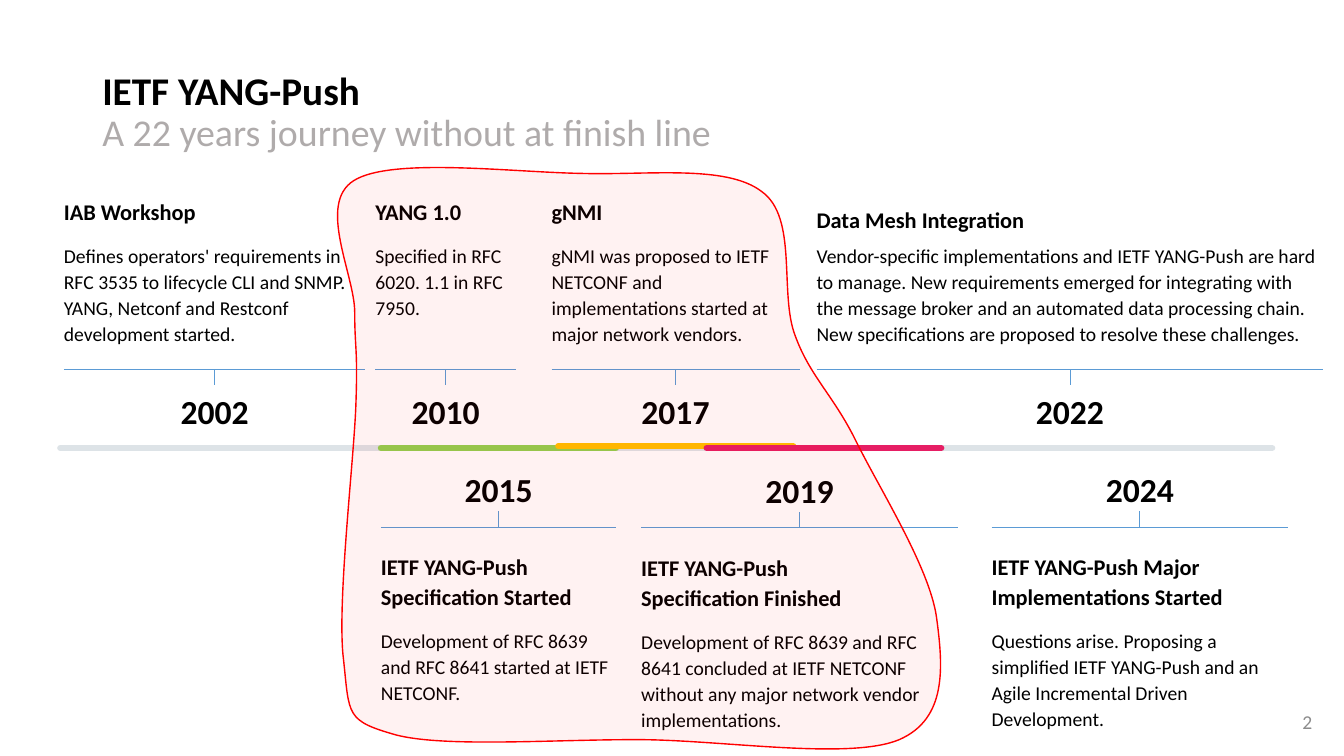
from lxml.etree import SubElement
from pptx import Presentation
from pptx.dml.color import RGBColor
from pptx.enum.shapes import MSO_CONNECTOR
from pptx.enum.text import MSO_ANCHOR, PP_ALIGN
from pptx.oxml.ns import qn
from pptx.util import Cm, Pt

COLOURS = {
    "text": "000000", "subtitle": "AFABAB", "page": "8C8C8C", "rule": "5B9BD5",
    "grey": "DDE3E7", "green": "92D050", "yellow": "FFC000", "pink": "E61E64", "red": "FF0000",
}
FONT = "Calibri"
TITLE = "IETF YANG-Push"
SUBTITLE = "A 22 years journey without at finish line"
PAGE_NUMBER = "2"

# year, heading, story, left, width, rule height, space before story (pt), bottom inset; in cm
UPPER_EVENTS = [
    ("2002", "IAB Workshop",
     "Defines operators' requirements in RFC 3535 to lifecycle CLI and SNMP. "
     "YANG, Netconf and Restconf development started.", 1.61, 7.6, 9.3, 6, 0.6),
    ("2010", "YANG 1.0", "Specified in RFC 6020. 1.1 in RFC 7950.",
     9.46, 3.54, 9.3, 6, 1.25),
    ("2017", "gNMI",
     "gNMI was proposed to IETF NETCONF and implementations started at "
     "major network vendors.", 13.9, 6.25, 9.3, 6, 0.6),
    ("2022", "Data Mesh Integration",
     "Vendor-specific implementations and IETF YANG-Push are hard to manage. "
     "New requirements emerged for integrating with the message broker and an "
     "automated data processing chain. New specifications are proposed to "
     "resolve these challenges.", 20.58, 12.77, 9.3, 0, 0.6),
]
LOWER_EVENTS = [
    ("2015", "IETF YANG-Push Specification Started",
     "Development of RFC 8639 and RFC 8641 started at IETF NETCONF.",
     9.6, 5.93, 13.28, 6, 0.6),
    ("2019", "IETF YANG-Push \vSpecification Finished",
     "Development of RFC 8639 and RFC 8641 concluded at IETF NETCONF without "
     "any major network vendor implementations.", 16.16, 7.98, 13.3, 6, 0.6),
    ("2024", "IETF YANG-Push Major\vImplementations Started",
     "Questions arise. Proposing a simplified IETF YANG-Push and an Agile "
     "Incremental Driven Development.", 24.99, 7.47, 13.28, 6, 0.6),
]
# colour, left, right, height on the slide
BACK_BARS = [("grey", 1.52, 32.06, 11.29), ("green", 9.6, 15.52, 11.29)]
FRONT_BARS = [("yellow", 14.07, 19.99, 11.24), ("pink", 17.81, 23.72, 11.29)]
TICK, YEAR_HEIGHT, STORY_HEIGHT, INSET = 0.4, 1.2, 4.6, 0.6

# Closed outline: its bounds, start, then two control points and an end point per curve
OUTLINE_BOUNDS = (8.51, 4.22, 15.19, 14.66)
OUTLINE_START = (8.94, 7.87)
OUTLINE_CURVES = [
    ((8.94, 6.93), (7.98, 5.13), (8.92, 4.55)),
    ((9.86, 3.96), (12.9, 4.34), (14.63, 4.37)),
    ((16.33, 4.42), (18.31, 4.14), (19.2, 4.83)),
    ((20.12, 5.49), (19.63, 7.39), (20.04, 8.46)),
    ((20.42, 9.5), (21.01, 9.96), (21.59, 11.15)),
    ((22.17, 12.32), (23.42, 14.3), (23.6, 15.54)),
    ((23.77, 16.79), (23.88, 18.11), (22.66, 18.64)),
    ((21.44, 19.15), (18.36, 18.67), (16.26, 18.64)),
    ((14.15, 18.62), (11.25, 18.85), (9.98, 18.52)),
    ((8.71, 18.16), (8.81, 18.03), (8.66, 16.64)),
    ((8.48, 15.27), (8.92, 11.63), (8.97, 10.19)),
    ((9.02, 8.74), (8.94, 8.81), OUTLINE_START),
]


def rgb(name):
    return RGBColor.from_string(COLOURS[name])


def style(paragraph, size, bold=False, colour="text"):
    for run in paragraph.runs:
        run.font.name, run.font.size, run.font.bold = FONT, Pt(size), bold
        run.font.color.rgb = rgb(colour)


def add_text(shapes, left, top, width, height, anchor, insets=None):
    """Add a wrapping text box; insets are top and bottom, with none at the sides."""
    box = shapes.add_textbox(Cm(left), Cm(top), Cm(width), Cm(height))
    frame = box.text_frame
    frame.word_wrap = True
    frame.vertical_anchor = anchor
    if insets:
        frame.margin_left = frame.margin_right = 0
        frame.margin_top, frame.margin_bottom = map(Cm, insets)
    return box


def add_line(shapes, x1, y1, x2, y2, colour, weight):
    line = shapes.add_connector(MSO_CONNECTOR.STRAIGHT, Cm(x1), Cm(y1), Cm(x2), Cm(y2))
    line.line.color.rgb = rgb(colour)
    line.line.width = Pt(weight)
    SubElement(line._element.spPr, qn("a:effectLst"))
    return line


def add_bars(shapes, bars):
    for colour, left, right, y in bars:
        bar = add_line(shapes, left, y, right, y, colour, 4.5)
        bar.line._get_or_add_ln().set("cap", "rnd")


def add_event(shapes, event, upper):
    """Add a year beside the bar, its rule and tick, and the story beyond the rule."""
    year, heading, story, left, width, rule, space, bottom = event
    year_top = rule + TICK if upper else rule - TICK - YEAR_HEIGHT
    story_top = rule - STORY_HEIGHT if upper else rule
    tick_end = rule + TICK if upper else rule - TICK
    middle = left + width / 2

    add_line(shapes, left, rule, left + width, rule, "rule", 0.5)
    tick = add_line(shapes, middle, rule, middle, tick_end, "rule", 0.5)

    year_box = add_text(shapes, left, year_top, width, YEAR_HEIGHT, MSO_ANCHOR.MIDDLE, (0, 0))
    paragraph = year_box.text_frame.paragraphs[0]
    paragraph.text = year
    paragraph.alignment = PP_ALIGN.CENTER
    paragraph.line_spacing = 1.1
    style(paragraph, 24, bold=True)

    anchor = MSO_ANCHOR.BOTTOM if upper else MSO_ANCHOR.TOP
    story_box = add_text(shapes, left, story_top, width, STORY_HEIGHT, anchor, (INSET, bottom))
    title = story_box.text_frame.paragraphs[0]
    title.text = heading
    title.space_after = Pt(6)
    body = story_box.text_frame.add_paragraph()
    body.text = story
    body.space_before = Pt(space)
    title.line_spacing = body.line_spacing = 1.1
    style(title, 16, bold=True)
    style(body, 14)

    tick.begin_connect(story_box, 2 if upper else 0)
    tick.end_connect(year_box, 0 if upper else 2)


def add_outline(shapes):
    """Add the outline as a freeform whose straight segments become cubic curves."""
    builder = shapes.build_freeform(*map(Cm, OUTLINE_START))
    ends = [tuple(map(Cm, curve[-1])) for curve in OUTLINE_CURVES]
    builder.add_line_segments(ends, close=True)
    shape = builder.convert_to_shape()
    left, top, width, height = map(Cm, OUTLINE_BOUNDS)
    shape.left, shape.top, shape.width, shape.height = left, top, width, height

    outline = next(shape._element.iter(qn("a:path")))
    outline.set("w", str(width))
    outline.set("h", str(height))
    for child in list(outline):
        outline.remove(child)
    segments = [("a:moveTo", [OUTLINE_START])]
    segments += [("a:cubicBezTo", curve) for curve in OUTLINE_CURVES]
    for tag, points in segments:
        segment = SubElement(outline, qn(tag))
        for x, y in points:
            SubElement(segment, qn("a:pt"), x=str(Cm(x) - left), y=str(Cm(y) - top))
    SubElement(outline, qn("a:close"))

    shape.shadow.inherit = False
    shape.fill.solid()
    shape.fill.fore_color.rgb = rgb("red")
    colour = shape._element.spPr.find(qn("a:solidFill")).find(qn("a:srgbClr"))
    SubElement(colour, qn("a:alpha"), val="5000")
    shape.line.color.rgb = rgb("red")
    shape.line.width = Pt(1)


def main():
    presentation = Presentation()
    presentation.slide_width, presentation.slide_height = Cm(33.87), Cm(19.05)
    shapes = presentation.slides.add_slide(presentation.slide_layouts[6]).shapes

    page_box = add_text(shapes, 32.18, 17.68, 1.14, 1.02, MSO_ANCHOR.MIDDLE)
    paragraph = page_box.text_frame.paragraphs[0]
    paragraph.text = PAGE_NUMBER
    paragraph.alignment = PP_ALIGN.RIGHT
    style(paragraph, 14, colour="page")

    title_box = add_text(shapes, 2.33, 1.01, 29.21, 3.68, MSO_ANCHOR.MIDDLE)
    paragraph = title_box.text_frame.paragraphs[0]
    paragraph.text = f"{TITLE}\v{SUBTITLE}"
    paragraph.line_spacing = 0.9
    style(paragraph, 28, bold=True)
    subtitle = paragraph.runs[1].font
    subtitle.size, subtitle.bold = Pt(27), False
    subtitle.color.rgb = rgb("subtitle")

    add_bars(shapes, BACK_BARS)
    for events, upper in ((UPPER_EVENTS, True), (LOWER_EVENTS, False)):
        for event in events:
            add_event(shapes.add_group_shape().shapes, event, upper)
    add_bars(shapes, FRONT_BARS)
    add_outline(shapes)
    presentation.save("out.pptx")


if __name__ == "__main__":
    main()
